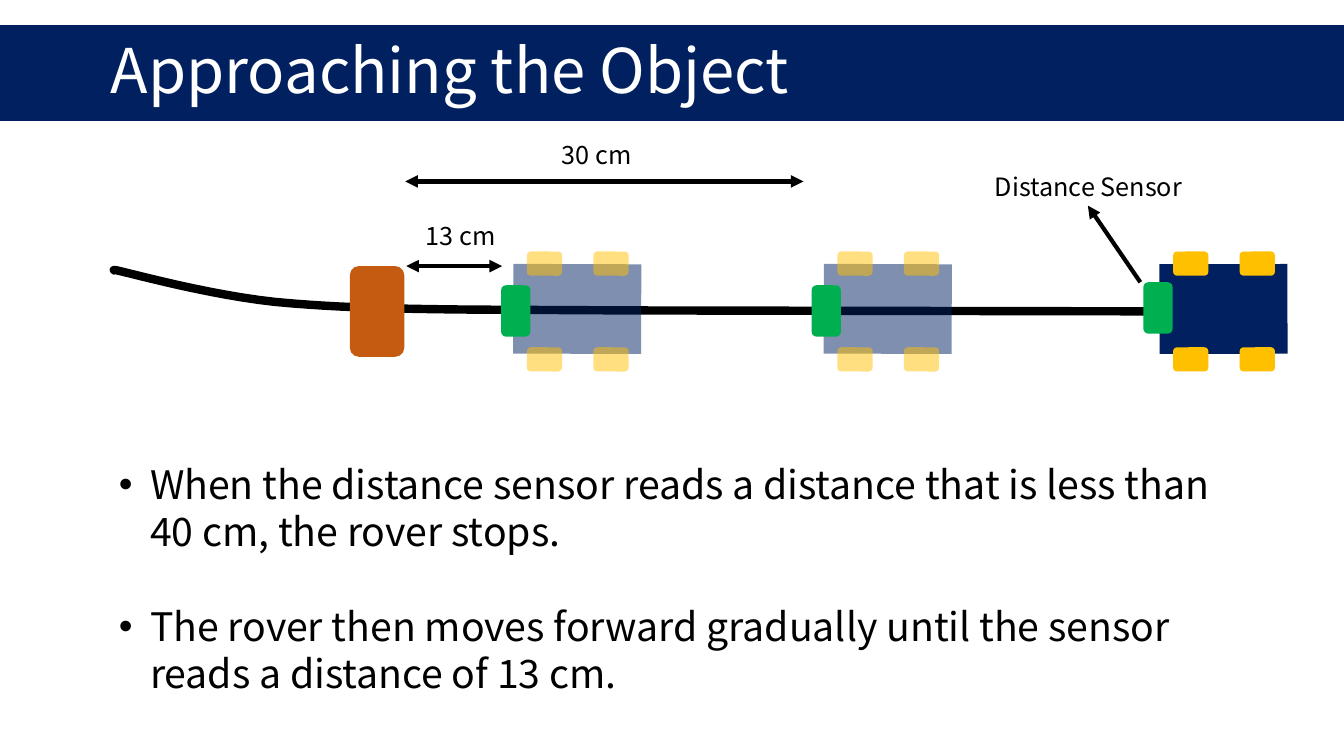
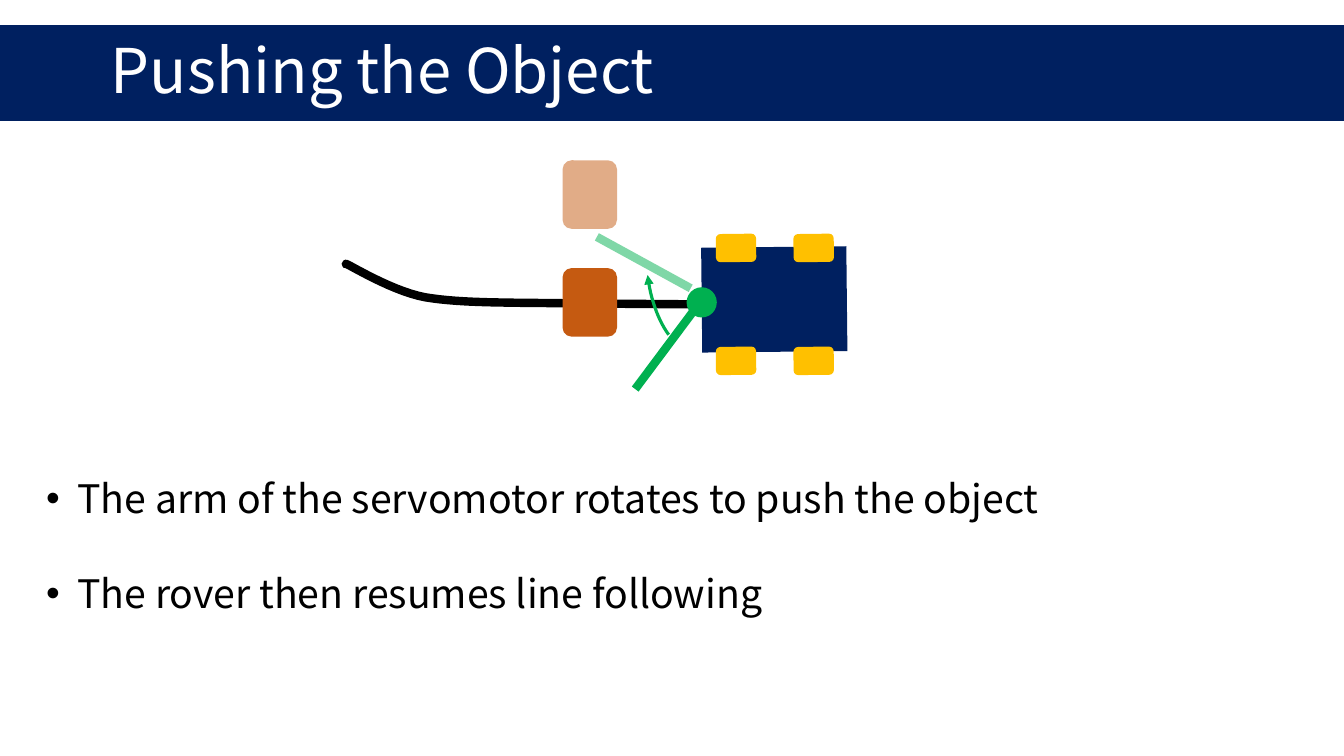
"""Builds two slides on a rover approaching and pushing an object."""
import pptx
import pptx.dml.color
import pptx.enum.shapes
import pptx.enum.text
import pptx.oxml
import pptx.oxml.ns
import pptx.util
from lxml import etree

Inches = pptx.util.Inches
Pt = pptx.util.Pt
SHAPE = pptx.enum.shapes.MSO_SHAPE
ALIGN = pptx.enum.text.PP_ALIGN
FIT = pptx.enum.text.MSO_AUTO_SIZE
qn = pptx.oxml.ns.qn

FONT = "Noto Sans CJK SC"
COLORS = {
    "navy": "002060",
    "wheel": "FFC000",
    "object": "C55A11",
    "sensor": "00B050",
    "ink": "000000",
    "white": "FFFFFF",
}


def rgb(color):
    return pptx.dml.color.RGBColor.from_string(COLORS[color])


def box(left, top, width, height):
    return Inches(left), Inches(top), Inches(width), Inches(height)


def fade(element, opacity):
    if opacity < 100:
        for tint in element.spPr.iter(qn("a:srgbClr")):
            etree.SubElement(tint, qn("a:alpha"), val=str(opacity * 1000))


def bezier(start, control_1, control_2, end, steps=16):
    for step in range(1, steps + 1):
        t = step / steps
        weights = ((1 - t) ** 3, 3 * t * (1 - t) ** 2, 3 * t * t * (1 - t), t ** 3)
        corners = (start, control_1, control_2, end)
        yield tuple(sum(w * c[axis] for w, c in zip(weights, corners)) for axis in (0, 1))


class Deck:
    """Holds the shared style and the current slide."""

    def __init__(self):
        self.presentation = pptx.Presentation()
        self.presentation.slide_width = Inches(13.33)
        self.presentation.slide_height = Inches(7.5)
        self.slide = None

    def new_slide(self, heading):
        self.slide = self.presentation.slides.add_slide(self.presentation.slide_layouts[5])
        title = self.slide.shapes.title
        title.left, title.top, title.width, title.height = box(0, 0.25, 13.33, 0.95)
        title.fill.solid()
        title.fill.fore_color.rgb = rgb("navy")
        frame = title.text_frame
        frame.auto_size = FIT.NONE
        frame.vertical_anchor = pptx.enum.text.MSO_ANCHOR.MIDDLE
        frame.margin_left = Inches(1.1)
        paragraph = frame.paragraphs[0]
        paragraph.alignment = ALIGN.LEFT
        paragraph.line_spacing = 0.9
        self.run(paragraph, heading, 44, "white")

    def run(self, paragraph, words, size, color="ink"):
        run = paragraph.add_run()
        run.text = words
        run.font.name = FONT
        run.font.size = Pt(size)
        run.font.color.rgb = rgb(color)

    def text_frame(self, area):
        frame = self.slide.shapes.add_textbox(*box(*area)).text_frame
        frame.word_wrap = True
        frame.auto_size = FIT.SHAPE_TO_FIT_TEXT
        return frame

    def label(self, words, left, top, width=1.28):
        paragraph = self.text_frame((left, top, width, 0.4)).paragraphs[0]
        paragraph.alignment = ALIGN.CENTER
        self.run(paragraph, words, 18)

    def bullets(self, area, points):
        frame = self.text_frame(area)
        for index, point in enumerate(points):
            paragraph = frame.add_paragraph() if index else frame.paragraphs[0]
            paragraph.space_before = Pt(34 if index else 0)
            properties = paragraph._p.get_or_add_pPr()
            properties.set("marL", str(Inches(0.31)))
            properties.set("indent", str(Inches(-0.31)))
            etree.SubElement(properties, qn("a:buFont"), typeface="Arial")
            etree.SubElement(properties, qn("a:buChar"), char="\u2022")
            self.run(paragraph, point, 28)

    def block(self, kind, area, color, opacity=100, rotation=0, parent=None):
        shape = (parent or self.slide).shapes.add_shape(kind, *box(*area))
        shape.shadow.inherit = False
        shape.fill.solid()
        shape.fill.fore_color.rgb = rgb(color)
        shape.line.fill.background()
        shape.rotation = rotation
        fade(shape._element, opacity)

    def obstacle(self, left, top, height, opacity=100):
        self.block(SHAPE.ROUNDED_RECTANGLE, (left, top, 0.54, height), "object", opacity)

    def sensor(self, left, top):
        self.block(SHAPE.ROUNDED_RECTANGLE, (left, top, 0.29, 0.51), "sensor")

    def rover(self, left, top, rotation, size=(0.89, 1.27), wheel=(0.24, 0.35), opacity=100):
        rover = self.slide.shapes.add_group_shape()
        self.block(SHAPE.RECTANGLE, (left, top, *size), "navy", opacity, rotation, rover)
        for across in (0, size[0] - wheel[0] + 0.01):
            for down in (0.01, size[1] - 0.31):
                self.block(SHAPE.ROUNDED_RECTANGLE, (left + across, top + down, *wheel),
                           "wheel", opacity, rotation, rover)

    def stroke(self, line, color, weight):
        line.fill.solid()
        line.fill.fore_color.rgb = rgb(color)
        line.width = Pt(weight)

    def arrowheads(self, line, ends):
        for end in ends:
            etree.SubElement(line._get_or_add_ln(), qn("a:" + end), type="triangle")

    def line(self, start, end, color="ink", weight=3, heads=(), opacity=100):
        connector = self.slide.shapes.add_connector(
            pptx.enum.shapes.MSO_CONNECTOR.STRAIGHT, *map(Inches, start + end))
        self.stroke(connector.line, color, weight)
        self.arrowheads(connector.line, heads)
        etree.SubElement(connector._element.spPr, qn("a:effectLst"))
        fade(connector._element, opacity)

    def track(self, start, bend, *curves):
        points = [bend]
        for curve in curves:
            points.extend(bezier(points[-1], *curve))
        builder = self.slide.shapes.build_freeform(*map(Inches, start))
        builder.add_line_segments([tuple(map(Inches, point)) for point in points], close=False)
        track = builder.convert_to_shape()
        track.shadow.inherit = False
        track.fill.background()
        self.stroke(track.line, "ink", 6)

    def swing(self, area, angles):
        arc = self.slide.shapes.add_shape(SHAPE.ARC, *box(*area))
        arc.adjustments[0], arc.adjustments[1] = angles
        arc.shadow.inherit = False
        arc.fill.background()
        self.stroke(arc.line, "sensor", 2.25)
        self.arrowheads(arc.line, ["tailEnd"])


deck = Deck()
both_ends = ("headEnd", "tailEnd")

deck.new_slide("Approaching the Object")
deck.track((11.98, 3.09), (6.2, 3.08),
           ((4.69, 3.07), (3.74, 3.08), (2.89, 3.01)),
           ((2.05, 2.95), (0.96, 2.61), (1.15, 2.69)))
deck.obstacle(3.47, 2.64, 0.9)
deck.rover(11.69, 2.43, 269.9)
deck.sensor(11.34, 2.8)
for rover_left in (8.36, 5.28):
    deck.rover(rover_left, 2.43, 270.2, opacity=50)
    deck.sensor(rover_left - 0.31, 2.83)
deck.line((4.02, 1.8), (7.97, 1.8), heads=both_ends)
deck.label("30 cm", 5.28, 1.33)
deck.line((4.03, 2.64), (4.98, 2.64), heads=both_ends)
deck.label("13 cm", 3.93, 2.14)
deck.label("Distance Sensor", 9.7, 1.65, 2.19)
deck.line((11.31, 2.8), (10.79, 2.04), heads=["tailEnd"])
deck.bullets((1.08, 4.52, 11.17, 2.46), [
    "When the distance sensor reads a distance that is less than 40 cm, the rover stops.",
    "The rover then moves forward gradually until the sensor reads a distance of 13 cm.",
])

deck.new_slide("Pushing the Object")
deck.track((8.27, 3.03), (5.69, 3.01),
           ((5.02, 3), (4.59, 3.01), (4.22, 2.95)),
           ((3.84, 2.88), (3.35, 2.55), (3.44, 2.63)))
deck.obstacle(5.58, 2.66, 0.68)
deck.bullets((0.36, 4.66, 12.62, 1.51), [
    "The arm of the servomotor rotates to push the object",
    "The rover then resumes line following",
])
deck.rover(7.16, 2.25, 269.4, size=(1.04, 1.44), wheel=(0.28, 0.4))
deck.block(SHAPE.OVAL, (6.81, 2.85, 0.3, 0.3), "sensor")
deck.line((6.89, 3.07), (6.3, 3.86), "sensor", 6)
deck.obstacle(5.58, 1.59, 0.68, opacity=50)
deck.line((6.85, 2.86), (5.92, 2.35), "sensor", 6, opacity=50)
deck.swing((6.41, 1.49, 1.1, 2.03), (67.1, 94.41))

deck.presentation.save("out.pptx")
